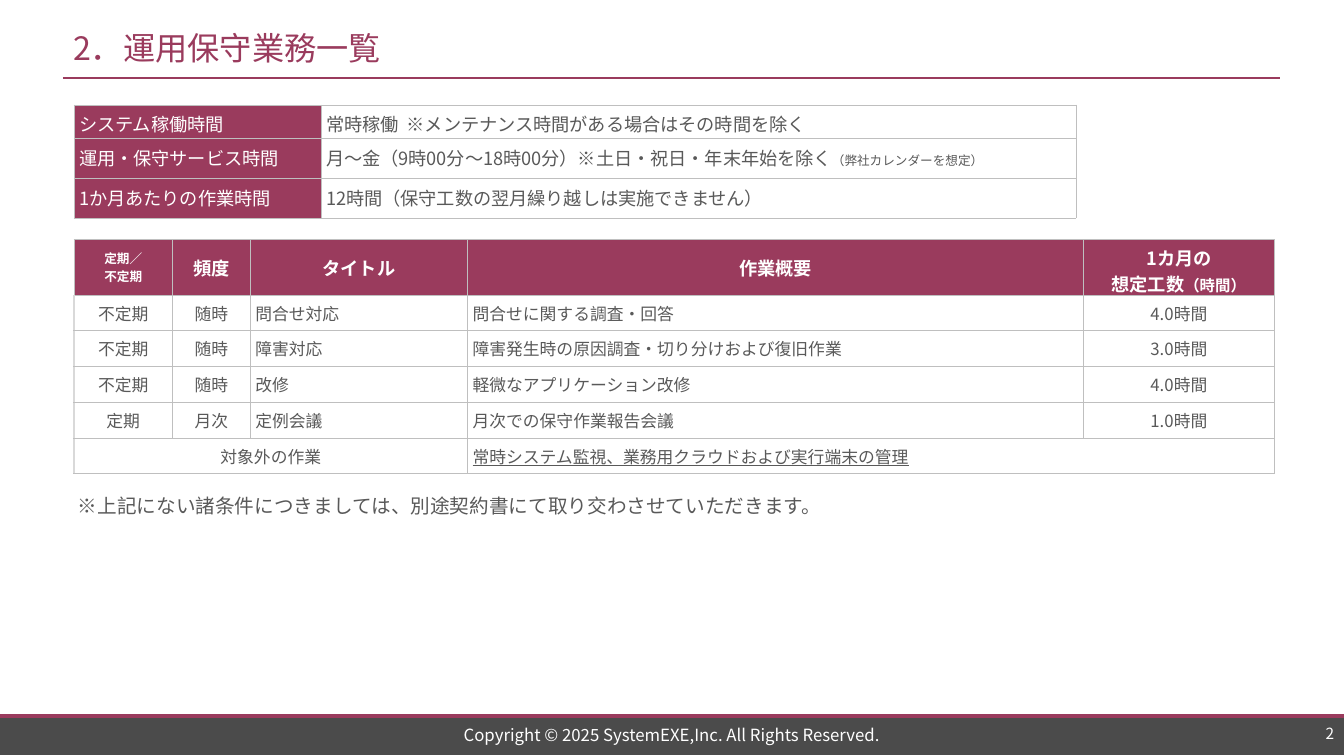
import lxml.etree
import pptx
import pptx.dml.color
import pptx.enum.shapes
import pptx.enum.text
import pptx.oxml.ns
import pptx.util

Pt = pptx.util.Pt
qn = pptx.oxml.ns.qn
ALIGN = pptx.enum.text.PP_ALIGN
ANCHOR = pptx.enum.text.MSO_ANCHOR
WINE, WHITE, GRAY, BAND = "9A3B5D", "FFFFFF", "595959", "4B4B4B"
GRID, EDGE = "BFBFBF", "D9D9D9"
FONT = "Noto Sans CJK JP"


def colour(value):
    return pptx.dml.color.RGBColor.from_string(value)


def write(frame, text, size=13, color=GRAY, bold=False, underline=False,
          align=ALIGN.LEFT, tail="", tail_size=9):
    lines = text.split("\n")
    for index, line in enumerate(lines):
        para = frame.paragraphs[0] if index == 0 else frame.add_paragraph()
        para.alignment = align
        para.space_before = Pt(0)
        pieces = [(line, size)]
        if tail and index == len(lines) - 1:
            pieces.append((tail, tail_size))
        for piece, piece_size in pieces:
            span = para.add_run()
            span.text = piece
            span.font.size = Pt(piece_size)
            span.font.bold = bold
            span.font.underline = underline
            span.font.color.rgb = colour(color)
            span.font.name = FONT
            east_asian = lxml.etree.Element(qn("a:ea"), typeface=FONT)
            span.font._element.find(qn("a:latin")).addnext(east_asian)


class Slide:
    """Holds the deck style and the current page, and adds each kind of element."""

    def __init__(self, deck):
        self.page = deck.slides.add_slide(deck.slide_layouts[5])

    def title(self, text, left, top, width, height):
        box = self.page.shapes.title
        box.left, box.top, box.width, box.height = map(Pt, (left, top, width, height))
        frame = box.text_frame
        frame.auto_size = pptx.enum.text.MSO_AUTO_SIZE.NONE
        frame.word_wrap = False
        frame.vertical_anchor = ANCHOR.MIDDLE
        write(frame, text, size=23, color=WINE)

    def band(self, left, top, width, height, fill):
        box = self.page.shapes.add_shape(pptx.enum.shapes.MSO_SHAPE.RECTANGLE,
                                         Pt(left), Pt(top), Pt(width), Pt(height))
        box.shadow.inherit = False
        box.fill.solid()
        box.fill.fore_color.rgb = colour(fill)
        box.line.fill.background()

    def rule(self, left, right, top, weight):
        line = self.page.shapes.add_connector(pptx.enum.shapes.MSO_CONNECTOR.STRAIGHT,
                                              Pt(left), Pt(top), Pt(right), Pt(top))
        line.line.color.rgb = colour(WINE)
        line.line.width = Pt(weight)
        lxml.etree.SubElement(line._element.spPr, qn("a:effectLst"))

    def text(self, text, left, top, width, height, anchor=ANCHOR.MIDDLE,
             margins=(7.2, 3.6, 7.2, 3.6), **style):
        box = self.page.shapes.add_textbox(Pt(left), Pt(top), Pt(width), Pt(height))
        frame = box.text_frame
        frame.word_wrap = True
        frame.vertical_anchor = anchor
        (frame.margin_left, frame.margin_top,
         frame.margin_right, frame.margin_bottom) = map(Pt, margins)
        write(frame, text, **style)

    def table(self, left, top, widths, heights):
        table = self.page.shapes.add_table(len(heights), len(widths), Pt(left), Pt(top),
                                           Pt(sum(widths)), Pt(sum(heights))).table
        table.first_row = table.horz_banding = False
        for column, width in zip(table.columns, widths):
            column.width = Pt(width)
        for row, height in zip(table.rows, heights):
            row.height = Pt(height)
        return table

    def cell(self, cell, text, fill=WHITE, anchor=ANCHOR.MIDDLE, left_edge=(GRID, 0.5), **style):
        cell.margin_left = cell.margin_right = Pt(3.6)
        cell.margin_top = cell.margin_bottom = Pt(3.6)
        cell.vertical_anchor = anchor
        properties = cell._tc.get_or_add_tcPr()
        for side in "LRTB":
            shade, weight = left_edge if side == "L" else (GRID, 0.5)
            border = lxml.etree.SubElement(properties, qn(f"a:ln{side}"), w=str(Pt(weight)))
            paint = lxml.etree.SubElement(border, qn("a:solidFill"))
            lxml.etree.SubElement(paint, qn("a:srgbClr"), val=shade)
        cell.fill.solid()
        cell.fill.fore_color.rgb = colour(fill)
        if text:
            write(cell.text_frame, text, **style)


def add_service_table(slide):
    rows = [
        ("システム稼働時間", "常時稼働  ※メンテナンス時間がある場合はその時間を除く", ""),
        ("運用・保守サービス時間", "月～金（9時00分～18時00分）※土日・祝日・年末年始を除く",
         "（弊社カレンダーを想定）"),
        ("1か月あたりの作業時間", "12時間（保守工数の翌月繰り越しは実施できません）", ""),
    ]
    table = slide.table(52.9, 75, [176.4, 539.3], [23.6, 28.6, 28.6])
    for index, (label, detail, tail) in enumerate(rows):
        anchor = ANCHOR.MIDDLE if index else ANCHOR.TOP
        slide.cell(table.cell(index, 0), label, fill=WINE, anchor=anchor, color=WHITE)
        slide.cell(table.cell(index, 1), detail, anchor=anchor, tail=tail)


def add_task_table(slide):
    headings = [("定期／\n不定期", 9, ""), ("頻度", 13, ""), ("タイトル", 13, ""),
                ("作業概要", 13, ""), ("1カ月の\n想定工数", 13, "（時間）")]
    aligns = [ALIGN.CENTER, ALIGN.CENTER, ALIGN.LEFT, ALIGN.LEFT, ALIGN.CENTER]
    tasks = [
        ("不定期", "随時", "問合せ対応", "問合せに関する調査・回答", "4.0時間"),
        ("不定期", "随時", "障害対応", "障害発生時の原因調査・切り分けおよび復旧作業", "3.0時間"),
        ("不定期", "随時", "改修", "軽微なアプリケーション改修", "4.0時間"),
        ("定期", "月次", "定例会議", "月次での保守作業報告会議", "1.0時間"),
        ("対象外の作業", "", "", "常時システム監視、業務用クラウドおよび実行端末の管理", ""),
    ]
    last = len(tasks)
    table = slide.table(52.9, 171, [70.3, 55.6, 155.2, 439.8, 136.6], [39.8] + [25.5] * last)
    for column, (heading, size, tail) in enumerate(headings):
        slide.cell(table.cell(0, column), heading, fill=WINE, size=size, color=WHITE,
                   bold=True, align=ALIGN.CENTER, tail=tail, tail_size=11)
    table.cell(last, 0).merge(table.cell(last, 2))
    table.cell(last, 3).merge(table.cell(last, 4))
    for row, task in enumerate(tasks, 1):
        for column, (text, align) in enumerate(zip(task, aligns)):
            slide.cell(table.cell(row, column), text, size=12, align=align,
                       underline=row == last and column == 3,
                       left_edge=(GRID, 0.5) if column else (EDGE, 1))


def main():
    deck = pptx.Presentation()
    deck.slide_width, deck.slide_height = Pt(960), Pt(540)
    slide = Slide(deck)
    slide.band(0, 511.2, 960, 28.1, BAND)
    slide.rule(0, 960, 511.6, 2.75)
    slide.rule(45, 914.4, 55.8, 1.5)
    slide.title("2．運用保守業務一覧", 45, 14.4, 869, 39.6)
    slide.text("2", 910, 513.4, 50, 26.6, anchor=ANCHOR.TOP,
               size=11, color=WHITE, align=ALIGN.RIGHT)
    slide.text("Copyright © 2025 SystemEXE,Inc. All Rights Reserved.", 239, 516.2, 481.7, 17.3,
               size=12, color=WHITE, align=ALIGN.CENTER)
    add_task_table(slide)
    add_service_table(slide)
    slide.text("※上記にない諸条件につきましては、別途契約書にて取り交わさせていただきます。",
               52.6, 338.4, 854, 45.4, margins=(3, 0, 0, 0), size=14)
    deck.save("out.pptx")


if __name__ == "__main__":
    main()
